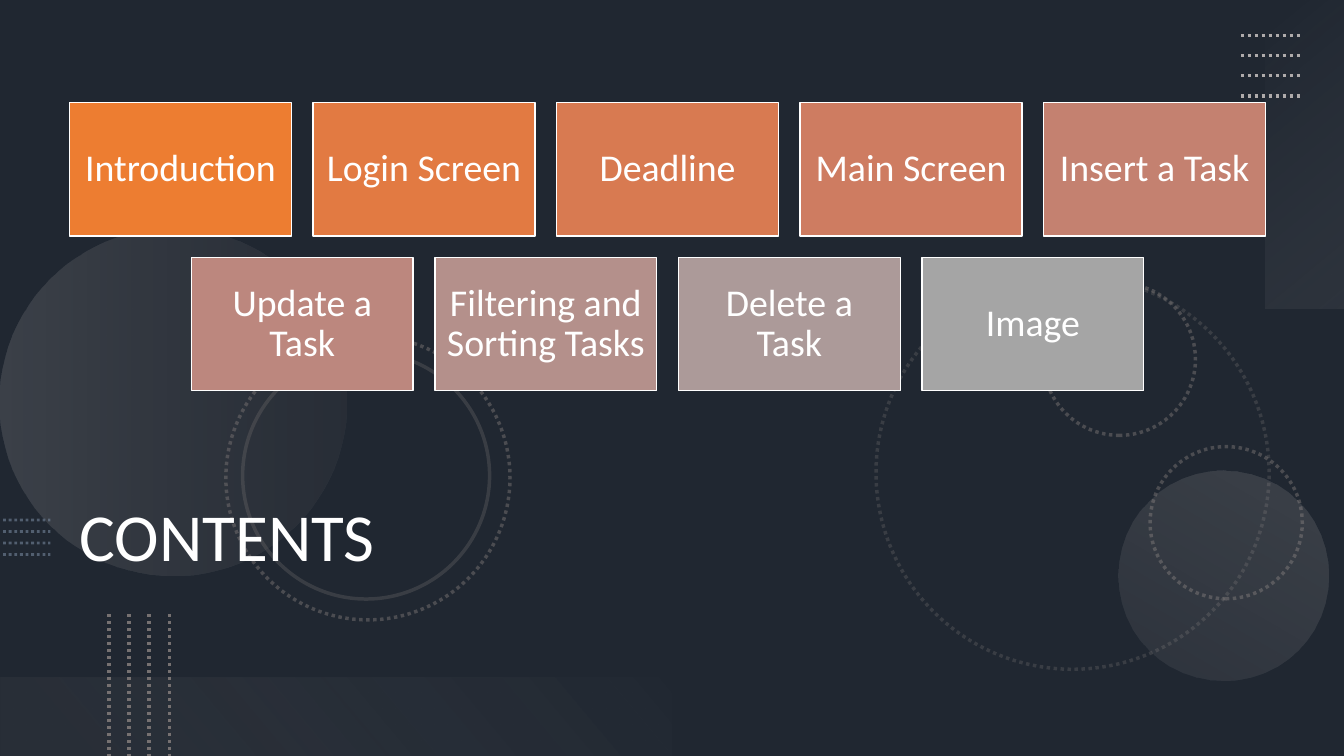
from lxml import etree
from pptx import Presentation
from pptx.dml.color import RGBColor
from pptx.enum.dml import MSO_LINE
from pptx.enum.shapes import MSO_CONNECTOR, MSO_SHAPE as Preset
from pptx.enum.text import MSO_ANCHOR as Anchor, MSO_AUTO_SIZE as AutoSize, PP_ALIGN as Align
from pptx.oxml.ns import qn
from pptx.util import Pt

SLIDE_W, SLIDE_H = 960, 540
WHITE, GREY, SILVER, BLUE = "FFFFFF", "767171", "AFABAB", "8497B0"
TOPICS = [
    [("Introduction", "ED7D31"), ("Login Screen", "E27A42"), ("Deadline", "D87A51"),
     ("Main Screen", "CE7C61"), ("Insert a Task", "C48170")],
    [("Update a Task", "BC877E"), ("Filtering and Sorting Tasks", "B4908B"),
     ("Delete a Task", "AC9A99"), ("Image", "A5A5A5")],
]


def rgb(value):
    return RGBColor.from_string(value)


def set_alpha(parent, percent):
    """Make the colour held by an XML element partly transparent."""
    color = next(parent.iter(qn("a:srgbClr")))
    etree.SubElement(color, qn("a:alpha")).set("val", str(percent * 1000))


def style_line(line, color, width, dotted=True, alpha=100):
    line.color.rgb = rgb(color)
    line.width = Pt(width)
    if dotted:
        line.dash_style = MSO_LINE.ROUND_DOT
    if alpha < 100:
        set_alpha(line._get_or_add_ln(), alpha)


def add_plain(slide, preset, box, fill=None, alpha=100, rotation=0):
    """Add a preset shape without shadow or outline."""
    shape = slide.shapes.add_shape(preset, *[Pt(v) for v in box])
    shape.shadow.inherit = False
    shape.rotation = rotation
    shape.line.fill.background()
    if fill:
        shape.fill.solid()
        shape.fill.fore_color.rgb = rgb(fill)
        if alpha < 100:
            set_alpha(shape._element.spPr, alpha)
    else:
        shape.fill.background()
    return shape


def add_glow(slide, preset, box, stops, angle, rotation):
    """Add a shape with a faint gradient; stops are (position, colour, alpha)."""
    glow = add_plain(slide, preset, box, rotation=rotation)
    glow.fill.gradient()
    glow.fill.gradient_angle = 360 - angle
    marks = glow._element.spPr.findall(".//" + qn("a:gs"))
    for stop, mark, (position, color, alpha) in zip(glow.fill.gradient_stops, marks, stops):
        stop.position = position
        stop.color.rgb = rgb(color)
        set_alpha(mark, alpha)


def add_ring(slide, left, top, size, rotation, dotted=True, alpha=50):
    ring = add_plain(slide, Preset.OVAL, (left, top, size, size), rotation=rotation)
    style_line(ring.line, GREY, 2.5, dotted, alpha)


def add_stripes(slide, box, count, color, width=2.5, vertical=False, alpha=100):
    """Spread dotted lines evenly over the box."""
    left, top, across, down = box
    for i in range(count):
        share = i / (count - 1)
        if vertical:
            x = left + across * share
            ends = (x, top, x, top + down)
        else:
            y = top + down * share
            ends = (left, y, left + across, y)
        stripe = slide.shapes.add_connector(MSO_CONNECTOR.STRAIGHT, *[Pt(v) for v in ends])
        style_line(stripe.line, color, width, alpha=alpha)
        etree.SubElement(stripe._element.spPr, qn("a:effectLst"))


def write(shape, text, size=27, color=WHITE, font="Calibri", align=Align.CENTER,
          anchor=Anchor.MIDDLE, inset=7.5):
    frame = shape.text_frame
    frame.word_wrap = True
    frame.auto_size = AutoSize.NONE
    frame.vertical_anchor = anchor
    frame.margin_left = frame.margin_right = Pt(inset)
    frame.margin_top = frame.margin_bottom = Pt(inset / 2)
    paragraph = frame.paragraphs[0]
    paragraph.alignment = align
    paragraph.line_spacing = 0.9
    run = paragraph.add_run()
    run.text = text
    run.font.size = Pt(size)
    run.font.name = font
    run.font.color.rgb = rgb(color)


def draw_backdrop(slide, box):
    left, top, width, height = box
    right, bottom = left + width, top + height
    slide.background.fill.solid()
    slide.background.fill.fore_color.rgb = rgb("44546A")
    add_plain(slide, Preset.RECTANGLE, box, "000000", alpha=53)

    # Circles
    add_ring(slide, right - 334.3, top + 197.3, 280.8, 75, alpha=30)
    add_ring(slide, right - 138.5, top + 319, 108.7, 270)
    add_glow(slide, Preset.OVAL, (left, top + 163.5, 247.7, 247.7),
             [(0, SILVER, 20), (1, GREY, 10)], 90, 270)
    add_glow(slide, Preset.OVAL, (right - 160.8, top + 336.2, 150, 150),
             [(0, SILVER, 10), (1, SILVER, 20)], 90, 210)
    add_ring(slide, left + 161.3, top + 239.8, 203, 75)
    add_ring(slide, left + 173.3, top + 251.5, 176.4, 75, dotted=False, alpha=30)

    # Top right corner
    add_glow(slide, Preset.RECTANGLE, (right - 138, top + 82.1, 220.3, 56.2),
             [(0, "F5F5F5", 0), (1, SILVER, 10)], 140, 270)
    add_stripes(slide, (right - 73.7, top + 25.2, 43.2, 43.2), 4, SILVER)
    add_ring(slide, right - 214.8, top + 202.3, 108.7, 270)

    # Left edge and bottom left corner
    add_stripes(slide, (left + 2.2, top + 371.5, 33.8, 24.5), 4, BLUE, 2, alpha=50)
    add_glow(slide, Preset.RECTANGLE, (left, bottom - 56.2, width / 2, 56.2),
             [(0.1, GREY, 10), (1, "F1F0F0", 0)], 140, 180)
    add_stripes(slide, (left + 77.8, bottom - 101.5, 43.2, 101.5), 4, GREY, vertical=True)


def draw_title(slide, box):
    title = slide.shapes.title
    title.left, title.top, title.width, title.height = [Pt(v) for v in box]
    write(title, "CONTENTS", size=48, align=Align.LEFT, anchor=Anchor.TOP, inset=7.2)


def draw_topics(slide, box, gap=15.5):
    """Place rows of equal cards, each row centred in the box."""
    left, top, width, height = box
    columns = max(len(row) for row in TOPICS)
    card_w = (width - gap * (columns - 1)) / columns
    card_h = (height - gap * (len(TOPICS) - 1)) / len(TOPICS)
    for r, row in enumerate(TOPICS):
        start = left + (columns - len(row)) * (card_w + gap) / 2
        for c, (topic, color) in enumerate(row):
            card_box = (start + c * (card_w + gap), top + r * (card_h + gap), card_w, card_h)
            card = add_plain(slide, Preset.RECTANGLE, card_box, color)
            style_line(card.line, WHITE, 1, dotted=False)
            write(card, topic)


def main():
    deck = Presentation()
    deck.slide_width, deck.slide_height = Pt(SLIDE_W), Pt(SLIDE_H)
    slide = deck.slides.add_slide(deck.slide_layouts[5])
    draw_backdrop(slide, (0, 0, SLIDE_W, SLIDE_H))
    # Bring the title in front of the backdrop
    slide.shapes._spTree.append(slide.shapes.title._element)
    draw_title(slide, (49.7, 355.7, 844.6, 124.6))
    draw_topics(slide, (49.7, 73.4, 854.3, 205.7))
    deck.save("out.pptx")


if __name__ == "__main__":
    main()
